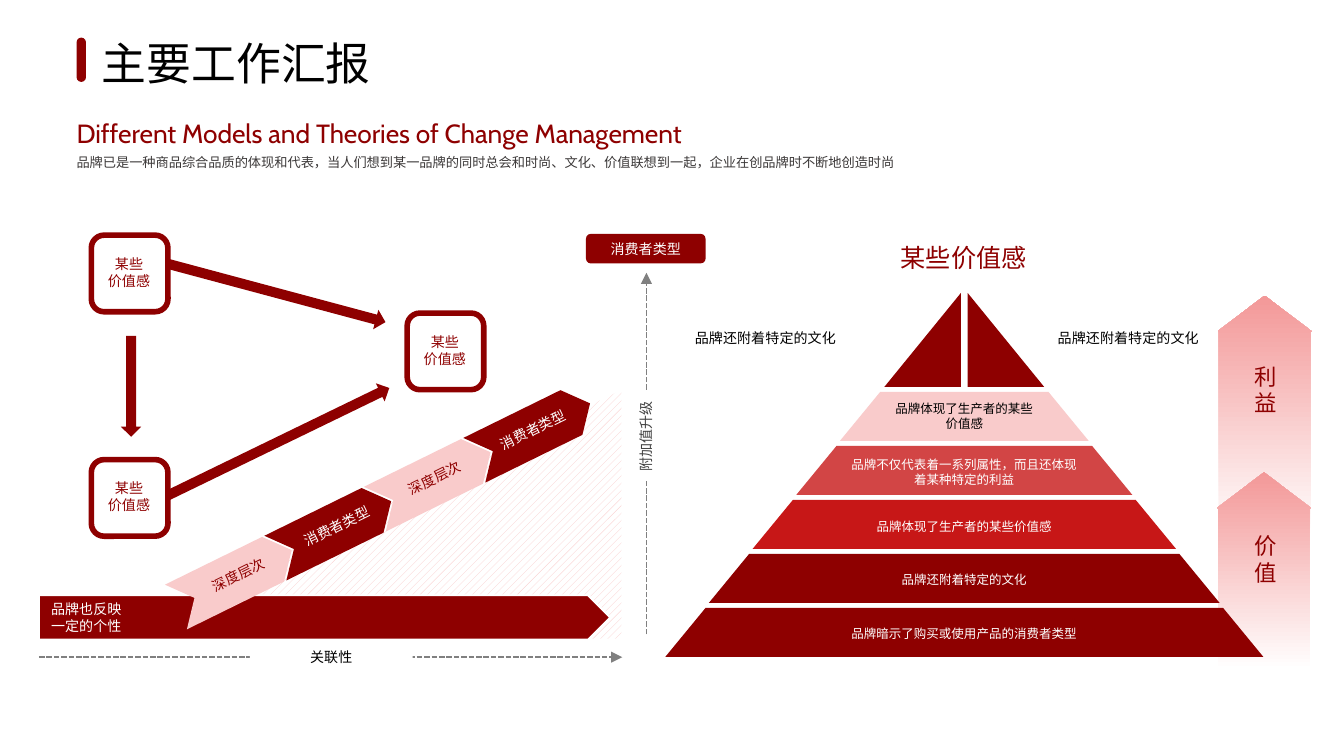
from lxml.etree import SubElement
from pptx import Presentation
from pptx.dml.color import RGBColor
from pptx.enum.dml import MSO_LINE, MSO_PATTERN
from pptx.enum.shapes import MSO_CONNECTOR, MSO_SHAPE
from pptx.enum.text import MSO_ANCHOR, MSO_AUTO_SIZE, PP_ALIGN
from pptx.oxml.ns import qn
from pptx.util import Inches, Pt

COLORS = {
    "dark": "8E0000",
    "red": "C71717",
    "pink": "F9CBCB",
    "rose": "F39898",
    "white": "FFFFFF",
    "black": "000000",
    "grey": "808080",
    "charcoal": "404040",
    "body": "3B3838",
}


def rgb(name):
    return RGBColor.from_string(COLORS[name])


def write_text(shape, text, size=7.5, color="dark", font="Roboto", align=PP_ALIGN.CENTER,
               anchor=MSO_ANCHOR.MIDDLE, inset=0, wrap=True, spacing=None):
    frame = shape.text_frame
    frame.word_wrap = wrap
    frame.auto_size = MSO_AUTO_SIZE.SHAPE_TO_FIT_TEXT
    frame.vertical_anchor = anchor
    if inset is not None:
        frame.margin_left = frame.margin_right = Inches(inset)
        frame.margin_top = frame.margin_bottom = Inches(inset)
    frame.text = text
    for paragraph in frame.paragraphs:
        paragraph.alignment = align
        if spacing:
            paragraph.line_spacing = spacing
        paragraph.font.size = Pt(size)
        paragraph.font.name = font
        paragraph.font.color.rgb = rgb(color)


class SlideBuilder:
    """Draws the slide's elements in one shared style."""

    def __init__(self, slide):
        self.slide = slide

    def finish(self, shape, fill, line=None, width=1):
        shape.shadow.inherit = False
        if fill:
            shape.fill.solid()
            shape.fill.fore_color.rgb = rgb(fill)
        if line:
            shape.line.color.rgb = rgb(line)
            shape.line.width = Pt(width)
        else:
            shape.line.fill.background()
        return shape

    def shape(self, kind, box, fill="dark", rotation=0, adjustments=(), line=None, width=1):
        shape = self.slide.shapes.add_shape(kind, *map(Inches, box))
        shape.rotation = rotation
        for index, value in enumerate(adjustments):
            shape.adjustments[index] = value
        return self.finish(shape, fill, line, width)

    def text(self, text, box, rotation=0, **style):
        shape = self.slide.shapes.add_textbox(*map(Inches, box))
        shape.rotation = rotation
        write_text(shape, text, **style)

    def polygon(self, points, fill="dark", line=None):
        corners = [(Inches(x), Inches(y)) for x, y in points]
        builder = self.slide.shapes.build_freeform(*corners[0])
        builder.add_line_segments(corners[1:], close=True)
        return self.finish(builder.convert_to_shape(), fill, line)

    def axis(self, start, end):
        connector = self.slide.shapes.add_connector(
            MSO_CONNECTOR.STRAIGHT, *map(Inches, start + end))
        connector.line.color.rgb = rgb("grey")
        connector.line.width = Pt(1)
        connector.line.dash_style = MSO_LINE.SQUARE_DOT
        SubElement(connector.line._get_or_add_ln(), qn("a:tailEnd"), type="triangle")
        SubElement(connector._element.spPr, qn("a:effectLst"))

    def axis_label(self, text, box, color, rotation=0):
        write_text(self.shape(MSO_SHAPE.RECTANGLE, box, "white", rotation), text, color=color)

    def value_box(self, left, top):
        self.shape(MSO_SHAPE.ROUNDED_RECTANGLE, (left, top, 0.57, 0.57), "white",
                   line="dark", width=3)
        self.text("某些\n价值感", (left + 0.07, top + 0.15, 0.42, 0.25))

    def gradient_arrow(self, box):
        shape = self.shape(MSO_SHAPE.RIGHT_ARROW, box, None, 270, (0.973, 0.378))
        shape.fill.gradient()
        shape.fill.gradient_angle = 0
        for stop, color, position in zip(shape.fill.gradient_stops, ("white", "rose"), (0, 1)):
            stop.color.rgb = rgb(color)
            stop.position = position


def draw_heading(builder):
    heading = {"font": "Cabin", "align": PP_ALIGN.LEFT, "anchor": MSO_ANCHOR.TOP}
    builder.text("主要工作汇报", (0.66, 0.22, 2.22, 0.5), size=24, color="black",
                 inset=None, wrap=False, **heading)
    builder.shape(MSO_SHAPE.ROUNDED_RECTANGLE, (0.57, 0.28, 0.07, 0.33), adjustments=(0.5,))
    builder.text("Different Models and Theories of Change Management",
                 (0.55, 0.85, 7.01, 0.28), size=14.1, inset=0.02, **heading)
    builder.text("品牌已是一种商品综合品质的体现和代表，当人们想到某一品牌的同时总会和时尚、文化、"
                 "价值联想到一起，企业在创品牌时不断地创造时尚",
                 (0.55, 1.07, 6.36, 0.2), size=7.1, color="body", inset=0.02, spacing=1.5,
                 **heading)


def draw_growth(builder):
    builder.shape(MSO_SHAPE.UP_ARROW, (1.89, 1.22, 0.15, 1.87), rotation=105)
    hatch = builder.polygon(
        [(4.63, 2.9), (4.63, 4.76), (1.42, 4.76), (1.42, 4.45), (4.61, 2.9)], None, "white")
    hatch.fill.patterned()
    hatch.fill.pattern = MSO_PATTERN.WIDE_UPWARD_DIAGONAL
    hatch.fill.fore_color.rgb = rgb("pink")
    hatch.fill.back_color.rgb = rgb("white")
    builder.shape(MSO_SHAPE.UP_ARROW, (1.98, 2.36, 0.15, 1.87), rotation=64.1)
    builder.shape(MSO_SHAPE.PENTAGON, (0.29, 4.43, 4.25, 0.33), line="white")

    steps = [("深度层次", "pink", "dark"), ("消费者类型", "dark", "white")] * 2
    for index, (label, fill, color) in enumerate(steps):
        left, top = 1.26 + 0.74 * index, 4.12 - 0.364 * index
        builder.shape(MSO_SHAPE.CHEVRON, (left, top, 0.96, 0.37), fill, 333.8, (0.416,))
    for index, (label, fill, color) in enumerate(steps):
        left, top = 1.38 + 0.73 * index, 4.21 - 0.36 * index
        builder.text(label, (left, top, 0.79, 0.13), 333.7, color=color)

    builder.axis((4.81, 4.72), (4.81, 2.03))
    builder.axis_label("附加值升级", (4.48, 3.18, 0.66, 0.13), "charcoal", 270)
    builder.axis((0.29, 4.89), (4.63, 4.89))
    builder.axis_label("关联性", (1.86, 4.82, 1.21, 0.13), "black")
    builder.text("品牌也反映\n一定的个性", (0.38, 4.47, 0.84, 0.25), color="white",
                 align=PP_ALIGN.LEFT)
    for left, top in [(3.03, 2.33), (0.68, 1.75), (0.68, 3.42)]:
        builder.value_box(left, top)
    builder.shape(MSO_SHAPE.UP_ARROW, (0.9, 2.5, 0.15, 0.75), rotation=180)
    builder.shape(MSO_SHAPE.ROUNDED_RECTANGLE, (4.36, 1.74, 0.89, 0.22))
    builder.text("消费者类型", (4.41, 1.79, 0.79, 0.13), color="white")


def draw_pyramid(builder):
    builder.gradient_arrow((8.51, 2.75, 1.8, 0.7))
    builder.gradient_arrow((8.67, 3.9, 1.47, 0.7))
    center = 7.175
    for side in (-1, 1):
        inner, outer = center + 0.025 * side, center + 0.595 * side
        builder.polygon([(inner, 2.18), (outer, 2.88), (inner, 2.88)])

    layers = [
        ("品牌体现了生产者的某些价值感", "pink", "black", 1.17, 2.94, 0.31),
        ("品牌不仅代表着一系列属性，而且还体现着某种特定的利益", "red", "white", 1.77, 3.36, 0.31),
        ("品牌体现了生产者的某些价值感", "red", "white", 3.1, 3.82, 0.2),
        ("品牌还附着特定的文化", "dark", "white", 1.85, 4.22, 0.2),
        ("品牌暗示了购买或使用产品的消费者类型", "dark", "white", 4.23, 4.62, 0.2),
    ]
    for index, (label, fill, color, width, text_top, height) in enumerate(layers):
        top = 2.915 + 0.402 * index
        bottom = top + 0.365
        upper, lower = 0.625 + 0.325 * index, 0.925 + 0.325 * index
        layer = builder.polygon([(center - upper, top), (center - lower, bottom),
                                 (center + lower, bottom), (center + upper, top)], fill)
        if index == 1:
            color_element = layer.fill._xPr.find(qn("a:solidFill"))[0]
            SubElement(color_element, qn("a:alpha"), val="80000")
    for label, fill, color, width, text_top, height in layers:
        builder.text(label, (center - width / 2, text_top, width, height), size=6.7,
                     color=color, anchor=MSO_ANCHOR.TOP, inset=0.04)

    for left in (7.58, 4.88):
        builder.text("品牌还附着特定的文化", (left, 2.41, 1.63, 0.21), color="black",
                     anchor=MSO_ANCHOR.TOP, inset=0.04)
    for label, top in [("利益", 2.65), ("价值", 3.91)]:
        builder.text(label, (9.16, top, 0.52, 0.5), size=12, anchor=MSO_ANCHOR.TOP, inset=None)
    builder.text("某些价值感", (6.34, 1.8, 1.66, 0.23), size=13.5)


def main():
    presentation = Presentation()
    presentation.slide_width = Inches(10)
    presentation.slide_height = Inches(5.625)
    builder = SlideBuilder(presentation.slides.add_slide(presentation.slide_layouts[6]))
    draw_heading(builder)
    draw_growth(builder)
    draw_pyramid(builder)
    presentation.save("out.pptx")


if __name__ == "__main__":
    main()
